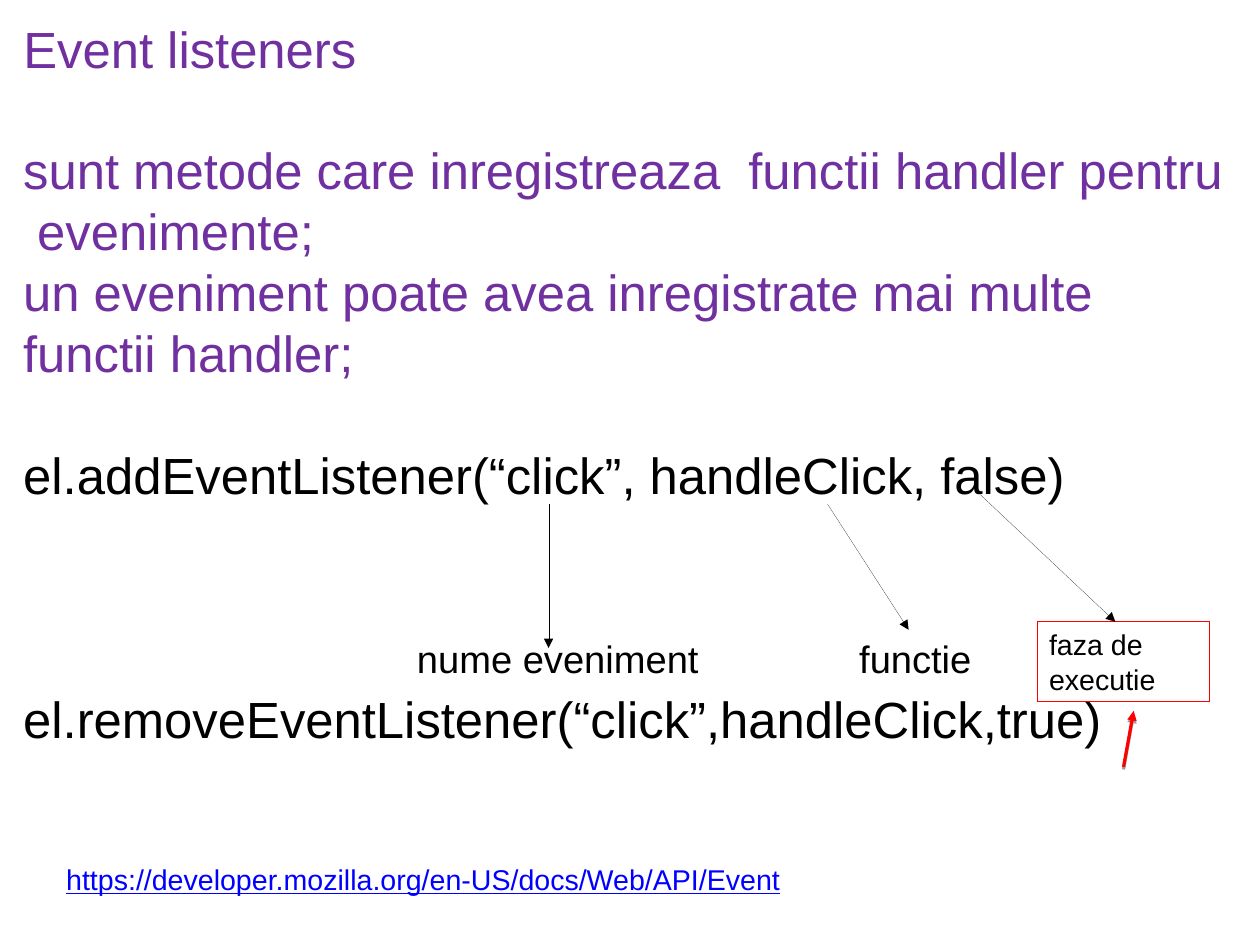
from lxml.etree import SubElement
from pptx import Presentation
from pptx.dml.color import RGBColor
from pptx.enum.shapes import MSO_CONNECTOR as CONNECTOR, MSO_SHAPE as SHAPE
from pptx.enum.text import MSO_ANCHOR as ANCHOR, MSO_AUTO_SIZE as AUTO_SIZE, PP_ALIGN as ALIGN
from pptx.oxml.ns import qn
from pptx.util import Pt

COLORS = {"purple": "7030A0", "black": "000000", "blue": "0000FF", "red": "FF0000"}
LINE_FACTOR = 1.2
HEADING_SIZE = 32
LINE = HEADING_SIZE * LINE_FACTOR
LEFT, TOP, WIDTH = 7.5, 7.3, 779
HAIRLINE = 0.01


def color(name):
    """Return the named palette colour."""
    return RGBColor.from_string(COLORS[name])


def write(shape, paragraphs, size, wrap=True, underline=None):
    """Fill a shape with (text, colour, space before) paragraphs."""
    frame = shape.text_frame
    frame_format = {
        "word_wrap": wrap, "auto_size": AUTO_SIZE.NONE, "vertical_anchor": ANCHOR.TOP,
        "margin_left": Pt(7.2), "margin_right": Pt(7.2),
        "margin_top": Pt(3.6), "margin_bottom": Pt(3.6),
    }
    for name, value in frame_format.items():
        setattr(frame, name, value)
    for index, (text, tint, gap) in enumerate(paragraphs):
        paragraph = frame.add_paragraph() if index else frame.paragraphs[0]
        paragraph.text = text
        paragraph.alignment = ALIGN.LEFT
        paragraph.line_spacing = Pt(size * LINE_FACTOR)
        if index:
            paragraph.space_before = Pt(gap)
        font_format = {"name": "Arial", "size": Pt(size), "underline": underline}
        for name, value in font_format.items():
            setattr(paragraph.font, name, value)
        paragraph.font.color.rgb = color(tint)


def add_text(slide, box, paragraphs, size, **options):
    """Add a text box at (left, top, width, height)."""
    write(slide.shapes.add_textbox(*map(Pt, box)), paragraphs, size, **options)


def add_title(slide, text):
    """Place and format the slide title."""
    title = slide.shapes.title
    place = zip(("left", "top", "width", "height"), (LEFT, TOP, WIDTH, LINE + 7.2))
    for name, value in place:
        setattr(title, name, Pt(value))
    write(title, [(text, "purple", 0)], HEADING_SIZE)


def add_framed_label(slide, box, text):
    """Add a red outlined label without fill."""
    label = slide.shapes.add_shape(SHAPE.RECTANGLE, *map(Pt, box))
    label.shadow.inherit = False
    label.fill.background()
    label.line.color.rgb = color("red")
    label.line.width = Pt(HAIRLINE)
    write(label, [(text, "black", 0)], 18)


def add_arrow(slide, start, end, tint="black", width=HAIRLINE, shadow=False):
    """Add an arrow between two points, with an optional drop shadow."""
    arrow = slide.shapes.add_connector(CONNECTOR.STRAIGHT, *map(Pt, start + end))
    arrow.line.color.rgb = color(tint)
    arrow.line.width = Pt(width)
    SubElement(arrow.line._get_or_add_ln(), qn("a:tailEnd"), type="triangle")
    effects = SubElement(arrow._element.spPr, qn("a:effectLst"))
    if shadow:
        drop = SubElement(effects, qn("a:outerShdw"), blurRad="0", dist=str(Pt(1.6)),
                          dir="5400000", rotWithShape="0")
        shade = SubElement(drop, qn("a:srgbClr"), val=COLORS["black"])
        SubElement(shade, qn("a:alpha"), val="38000")


def main():
    """Build the event listener slide."""
    deck = Presentation()
    deck.slide_width, deck.slide_height = Pt(793.75), Pt(595.25)
    slide = deck.slides.add_slide(deck.slide_layouts[5])

    add_title(slide, "Event listeners")
    add_text(slide, (LEFT, TOP + 2 * LINE, WIDTH, 10 * LINE + 7.2), [
        ("sunt metode care inregistreaza  functii handler pentru  evenimente;", "purple", 0),
        ("un eveniment poate avea inregistrate mai multe functii handler;", "purple", 0),
        ("el.addEventListener(“click”, handleClick, false)", "black", LINE),
        ("el.removeEventListener(“click”,handleClick,true)", "black", 3 * LINE),
    ], HEADING_SIZE)

    for text, left, width in (("nume eveniment", 255.6, 191.5), ("functie", 534.2, 85)):
        add_text(slide, (left, 396.7, width, 36), [(text, "black", 0)], 24, wrap=False)
    add_text(slide, (34.6, 539.3, 468.7, 50.4),
             [("https://developer.mozilla.org/en-US/docs/Web/API/Event", "blue", 0)],
             18, wrap=False, underline=True)
    add_framed_label(slide, (653.8, 391.7, 108, 50.4), "faza de executie")

    add_arrow(slide, (707.8, 483.1), (714.2, 447.8), "red", 2, shadow=True)
    for start, end in (
        ((345.6, 317.5), (345.6, 408.2)),
        ((521.3, 317.5), (572.4, 396.7)),
        ((617.8, 311.8), (702.7, 391.7)),
    ):
        add_arrow(slide, start, end)

    deck.save("out.pptx")


if __name__ == "__main__":
    main()
